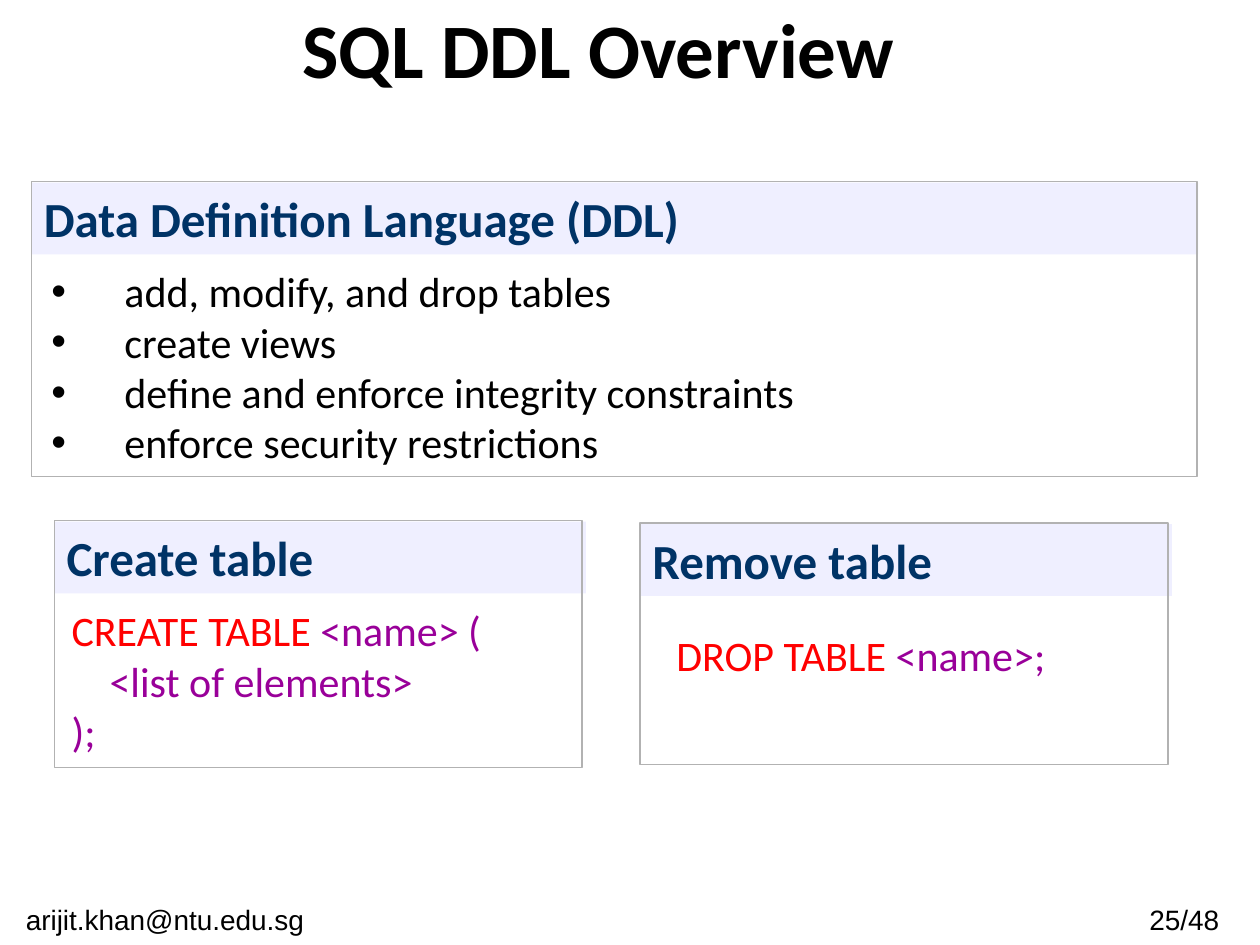
from typing import NamedTuple

from lxml.etree import SubElement
from pptx import Presentation
from pptx.dml.color import RGBColor
from pptx.enum.shapes import MSO_SHAPE as Shape
from pptx.enum.text import MSO_ANCHOR as Anchor, PP_ALIGN as Align
from pptx.oxml.ns import qn
from pptx.util import Emu, Pt

PX = 9144  # EMU per px, 100 px to the inch

BLACK = RGBColor(0x00, 0x00, 0x00)
NAVY = RGBColor(0x00, 0x33, 0x66)
RED = RGBColor(0xFF, 0x00, 0x00)
PURPLE = RGBColor(0x99, 0x00, 0x99)
LAVENDER = RGBColor(0xEF, 0xEF, 0xFF)
GREY = RGBColor(0xB2, 0xB2, 0xB2)


class Box(NamedTuple):
    x: int
    y: int
    w: int
    h: int

    def emu(self) -> list[Emu]:
        return [Emu(v * PX) for v in self]


class Run(NamedTuple):
    text: str
    color: RGBColor = BLACK


class Style(NamedTuple):
    size: int
    font: str = "Calibri"
    bold: bool = False
    align: Align = Align.LEFT
    anchor: Anchor = Anchor.TOP
    bullet: bool = False


class Panel(NamedTuple):
    heading: str
    band: Box
    frame: Box
    body: Box
    lines: list[list[Run]]
    style: Style


TITLE = Style(44, bold=True, align=Align.CENTER, anchor=Anchor.MIDDLE)
FOOTER = Style(16, font="Arial", align=Align.CENTER)
HEADING = Style(28, bold=True)
CODE = Style(24)
BULLETS = Style(24, bullet=True)

BULLET_INDENT = 58
BAND_H = 57

PANELS = [
    Panel("Data Definition Language (DDL)",
          Box(25, 145, 926, BAND_H), Box(25, 144, 925, 234), Box(31, 206, 917, 172),
          [[Run("add, modify, and drop tables")],
           [Run("create views")],
           [Run("define and enforce integrity constraints")],
           [Run("enforce security restrictions")]],
          BULLETS),
    Panel("Create table",
          Box(43, 414, 422, BAND_H), Box(43, 413, 419, 196), Box(47, 475, 416, 131),
          [[Run("CREATE TABLE ", RED), Run("<name> (", PURPLE)],
           [Run("    <list of elements>", PURPLE)],
           [Run(");", PURPLE)]],
          CODE),
    Panel("Remove table",
          Box(508, 416, 422, BAND_H), Box(508, 415, 419, 192), Box(527, 495, 372, 50),
          [[Run("DROP TABLE ", RED), Run("<name>;", PURPLE)]],
          CODE),
]


def add_bullet(p) -> None:
    pPr = p._p.get_or_add_pPr()
    pPr.set("marL", str(BULLET_INDENT * PX))
    pPr.set("indent", str(-BULLET_INDENT * PX))
    SubElement(pPr, qn("a:buFont"), typeface="Arial")
    SubElement(pPr, qn("a:buChar"), char="•")


def write(tf, lines: list[list[Run]], style: Style) -> None:
    tf.word_wrap = True
    tf.vertical_anchor = style.anchor
    for i, line in enumerate(lines):
        p = tf.add_paragraph() if i else tf.paragraphs[0]
        p.alignment = style.align
        if style.bullet:
            add_bullet(p)
        for run in line:
            r = p.add_run()
            r.text = run.text
            r.font.name = style.font
            r.font.size = Pt(style.size)
            r.font.bold = style.bold
            r.font.color.rgb = run.color


def add_text(s, box: Box, lines: list[list[Run]], style: Style) -> None:
    write(s.shapes.add_textbox(*box.emu()).text_frame, lines, style)


def add_panel(s, panel: Panel) -> None:
    # Heading band
    band = s.shapes.add_shape(Shape.RECTANGLE, *panel.band.emu())
    band.shadow.inherit = False
    band.fill.solid()
    band.fill.fore_color.rgb = LAVENDER
    band.line.fill.background()
    write(band.text_frame, [[Run(panel.heading, NAVY)]], HEADING)

    # Outline
    frame = s.shapes.add_shape(Shape.RECTANGLE, *panel.frame.emu())
    frame.shadow.inherit = False
    frame.fill.background()
    frame.line.color.rgb = GREY
    frame.line.width = Pt(0.75)

    # Body text
    add_text(s, panel.body, panel.lines, panel.style)


def main() -> None:
    prs = Presentation()
    prs.slide_width, prs.slide_height = Emu(1000 * PX), Emu(750 * PX)
    s = prs.slides.add_slide(prs.slide_layouts[6])

    # Title and footer
    add_text(s, Box(25, 0, 900, 75), [[Run("SQL DDL Overview")]], TITLE)
    add_text(s, Box(885, 711, 116, 39), [[Run("25/48 ")]], FOOTER)
    add_text(s, Box(0, 711, 268, 39), [[Run("arijit.khan@ntu.edu.sg ")]], FOOTER)

    # Panels
    for panel in PANELS:
        add_panel(s, panel)

    prs.save("out.pptx")


if __name__ == "__main__":
    main()
